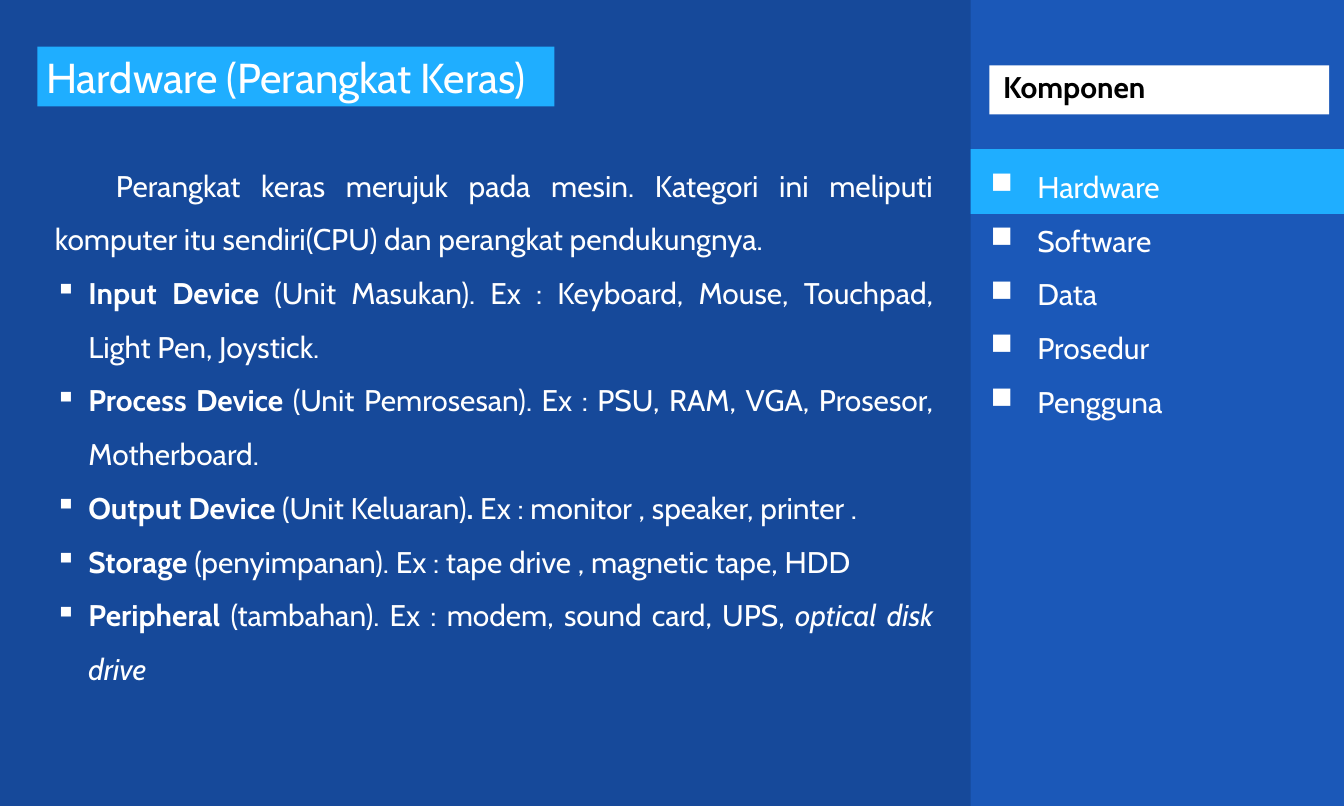
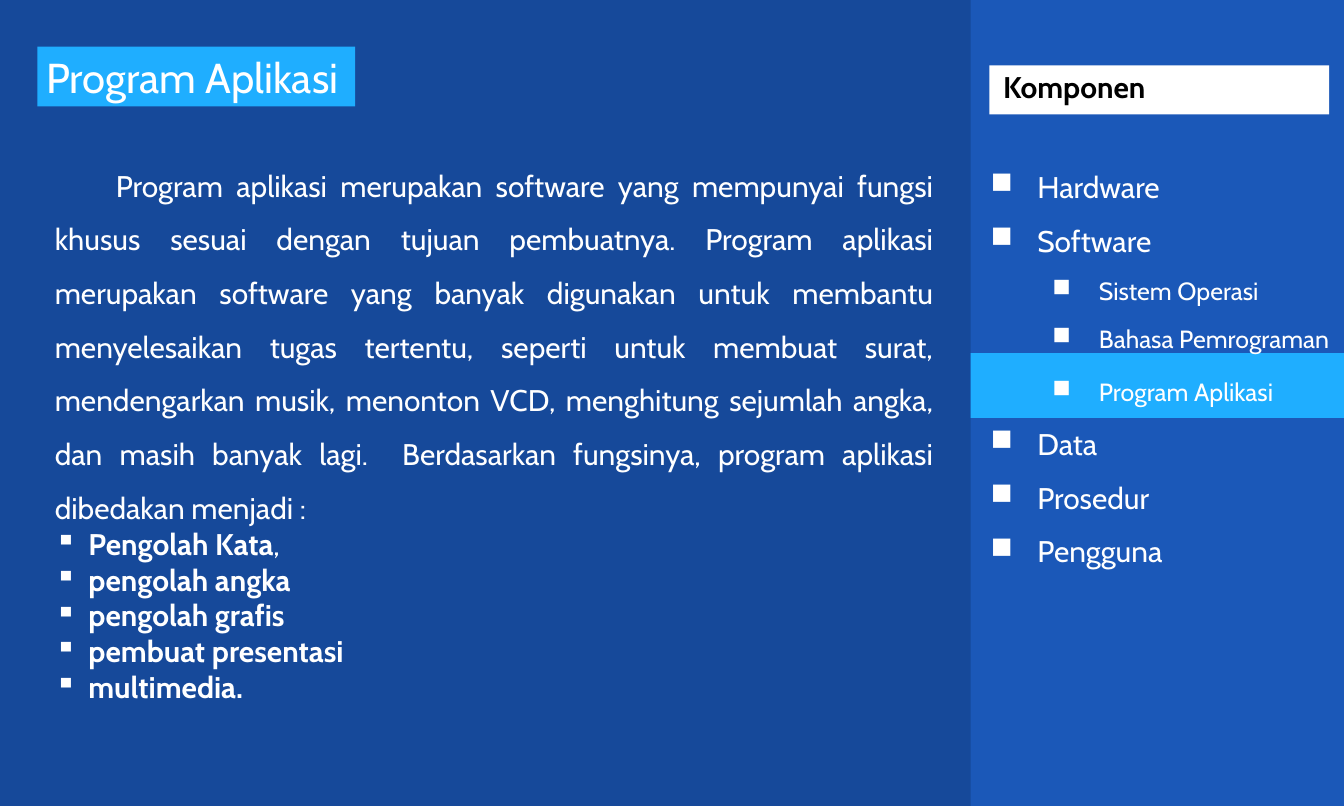
from lxml.etree import SubElement
from pptx import Presentation
from pptx.dml.color import RGBColor
from pptx.enum.shapes import MSO_SHAPE as Shape
from pptx.enum.text import MSO_ANCHOR as Anchor, PP_ALIGN as Align
from pptx.oxml.ns import qn
from pptx.util import Pt

COLORS = {
    "background": "16499A",
    "sidebar": "1B58B8",
    "accent": "1FAEFF",
    "light": "FFFFFF",
    "dark": "000000",
}
FONT = "Cabin"
SLIDE_W, SLIDE_H = 1080, 648
SIDEBAR = (780, 0, 300, SLIDE_H)
BODY = (37, 116.5, 720, 488)
BODY_BULLET, NAV_BULLET = "▪", "■"
NAV_GAP = 14.4


def rgb(name):
    """Return the named palette colour."""
    return RGBColor.from_string(COLORS[name])


def add_bullet(paragraph, char, color):
    """Give a paragraph a coloured bullet character."""
    props = paragraph._p.get_or_add_pPr()
    bullet_color = SubElement(props, qn("a:buClr"))
    SubElement(bullet_color, qn("a:srgbClr")).set("val", COLORS[color])
    SubElement(props, qn("a:buChar")).set("char", char)


def write(paragraph, runs, *, size=24, color="light", align=Align.LEFT, line=1.0,
          before=0, after=0, margin=0, indent=0, bullet=None, level=0):
    """Fill a paragraph with (text, style) runs, where style holds b and i."""
    if bullet:
        add_bullet(paragraph, bullet, color)
    paragraph.alignment, paragraph.line_spacing = align, line
    paragraph.space_before, paragraph.space_after = Pt(before), Pt(after)
    paragraph.level = level
    props = paragraph._p.get_or_add_pPr()
    props.set("marL", str(Pt(margin)))
    props.set("indent", str(Pt(indent)))
    for text, style in runs:
        run = paragraph.add_run()
        run.text = text
        font = run.font
        font.name, font.size = FONT, Pt(size)
        font.bold, font.italic = "b" in style, "i" in style
        font.color.rgb = rgb(color)


def add_band(slide, box, color):
    """Draw a plain filled rectangle."""
    band = slide.shapes.add_shape(Shape.RECTANGLE, *map(Pt, box))
    band.shadow.inherit = False
    band.fill.solid()
    band.fill.fore_color.rgb = rgb(color)
    band.line.fill.background()
    return band


def add_text_frame(slide, box):
    """Add a wrapping text box and return its frame."""
    frame = slide.shapes.add_textbox(*map(Pt, box)).text_frame
    frame.word_wrap = True
    return frame


def next_paragraph(frame, index):
    """Return the first paragraph, or a new one after it."""
    return frame.add_paragraph() if index else frame.paragraphs[0]


def add_title(slide, text, width):
    """Place the slide title on its accent tag."""
    frame = add_band(slide, (30, 37.5, width, 48), "accent").text_frame
    frame.word_wrap = False
    write(frame.paragraphs[0], [(text, "")], size=33.6)


def add_body(slide, box, intro, points, point_line):
    """Write the indented introduction and its bulleted points."""
    frame = add_text_frame(slide, box)
    write(frame.paragraphs[0], [(intro, "")], align=Align.JUSTIFY, line=1.5, indent=49)
    for runs in points:
        write(frame.add_paragraph(), runs, align=Align.JUSTIFY, line=point_line,
              margin=27, indent=-27, bullet=BODY_BULLET)


def add_sidebar(slide, box, entries, active):
    """Draw the component list and highlight the active entry."""
    left, top, width, _ = box
    add_band(slide, box, "sidebar")
    heading = add_band(slide, (left + 15, top + 52.5, width - 27, 39.5), "light").text_frame
    heading.margin_left = Pt(11)
    heading.margin_right = heading.margin_top = heading.margin_bottom = 0
    heading.vertical_anchor = Anchor.MIDDLE
    write(heading.paragraphs[0], [("Komponen", "b")], color="dark", line=0.8)

    add_band(slide, (left, top + 120 + 41 * active, width, 52), "accent")
    frame = add_text_frame(slide, (left - 12.5, top + 132, width + 12.5, 330))
    for index, (label, level) in enumerate(entries):
        raised = 4 if level and index == active else 0
        write(next_paragraph(frame, index), [(label, "")], size=20 if level else 24,
              before=NAV_GAP + raised if index else 0, after=raised / 4,
              margin=59 + 49.5 * level, indent=-37.5, bullet=NAV_BULLET, level=level)


def add_component_slide(deck, title, title_width, intro, points, point_line, entries, active):
    """Build one slide with title, explanation and component list."""
    slide = deck.slides.add_slide(deck.slide_layouts[6])
    slide.background.fill.solid()
    slide.background.fill.fore_color.rgb = rgb("background")
    add_sidebar(slide, SIDEBAR, entries, active)
    add_title(slide, title, title_width)
    add_body(slide, BODY, intro, points, point_line)


HARDWARE_INTRO = ("Perangkat keras merujuk pada mesin. Kategori ini meliputi "
                  "komputer itu sendiri(CPU) dan perangkat pendukungnya.")
HARDWARE_POINTS = [
    [("Input Device ", "b"),
     ("(Unit Masukan). Ex : Keyboard, Mouse, Touchpad, Light Pen, Joystick.", "")],
    [("Process Device ", "b"),
     ("(Unit Pemrosesan). Ex : PSU, RAM, VGA, Prosesor, Motherboard.", "")],
    [("Output Device ", "b"), ("(Unit Keluaran)", ""), (". ", "b"),
     ("Ex : monitor , speaker, printer .", "")],
    [("Storage ", "b"), ("(penyimpanan). Ex : tape drive , magnetic tape, HDD", "")],
    [("Peripheral ", "b"), ("(tambahan). Ex : modem, sound card, UPS, ", ""),
     ("optical disk drive", "i")],
]
PROGRAM_INTRO = (
    "Program aplikasi merupakan software yang mempunyai fungsi khusus sesuai dengan "
    "tujuan pembuatnya. Program aplikasi merupakan software yang banyak digunakan untuk "
    "membantu menyelesaikan tugas tertentu, seperti untuk membuat surat, mendengarkan "
    "musik, menonton VCD, menghitung sejumlah angka, dan masih banyak lagi.  Berdasarkan "
    "fungsinya, program aplikasi dibedakan menjadi :")
PROGRAM_POINTS = [[("Pengolah Kata", "b"), (",", "")]] + [
    [(name, "b")] for name in
    ("pengolah angka", "pengolah grafis", "pembuat presentasi", "multimedia.")]
COMPONENTS = [(name, 0) for name in ("Hardware", "Software", "Data", "Prosedur", "Pengguna")]
SOFTWARE_KINDS = [(name, 1) for name in
                  ("Sistem Operasi", "Bahasa Pemrograman", "Program Aplikasi")]


def main():
    """Build and save the deck."""
    deck = Presentation()
    deck.slide_width, deck.slide_height = Pt(SLIDE_W), Pt(SLIDE_H)
    add_component_slide(deck, "Hardware (Perangkat Keras)", 415.5, HARDWARE_INTRO,
                        HARDWARE_POINTS, 1.5, COMPONENTS, 0)
    add_component_slide(deck, "Program Aplikasi", 255.5, PROGRAM_INTRO, PROGRAM_POINTS, 1.0,
                        COMPONENTS[:2] + SOFTWARE_KINDS + COMPONENTS[2:], 4)
    deck.save("out.pptx")


if __name__ == "__main__":
    main()
